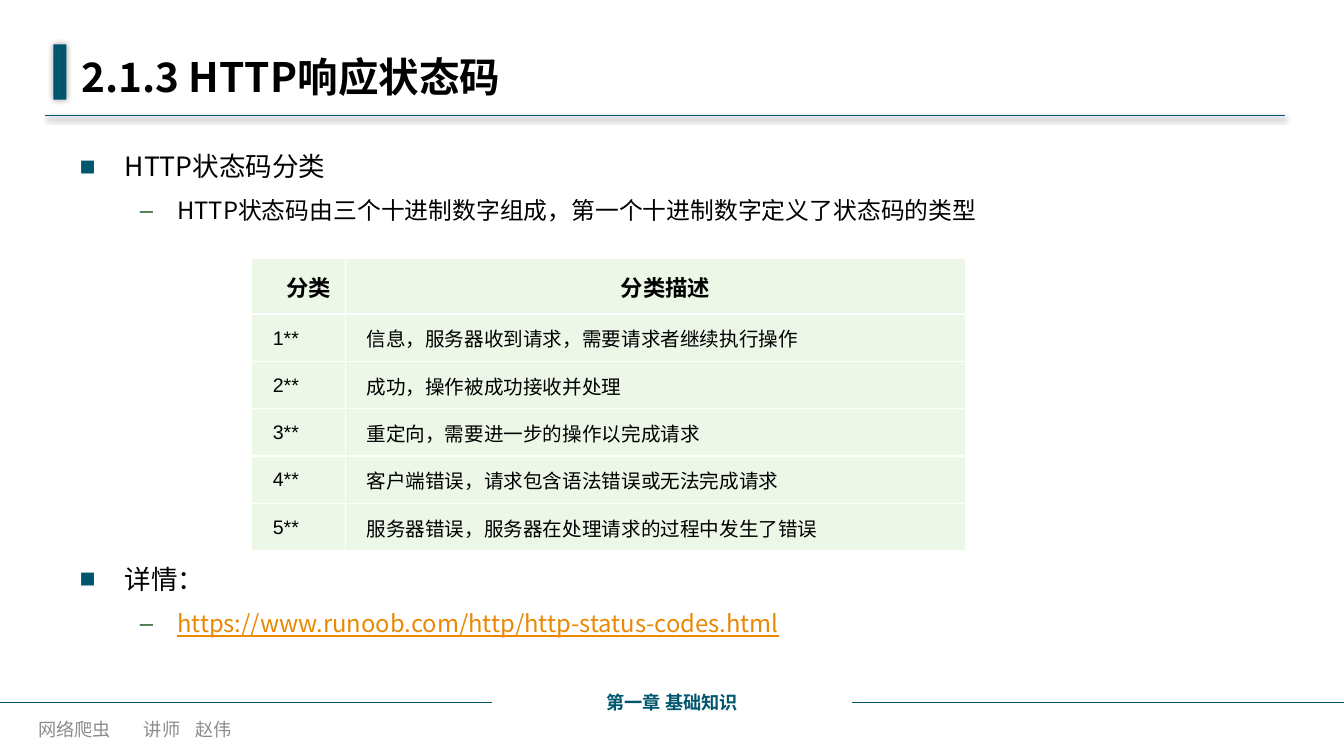
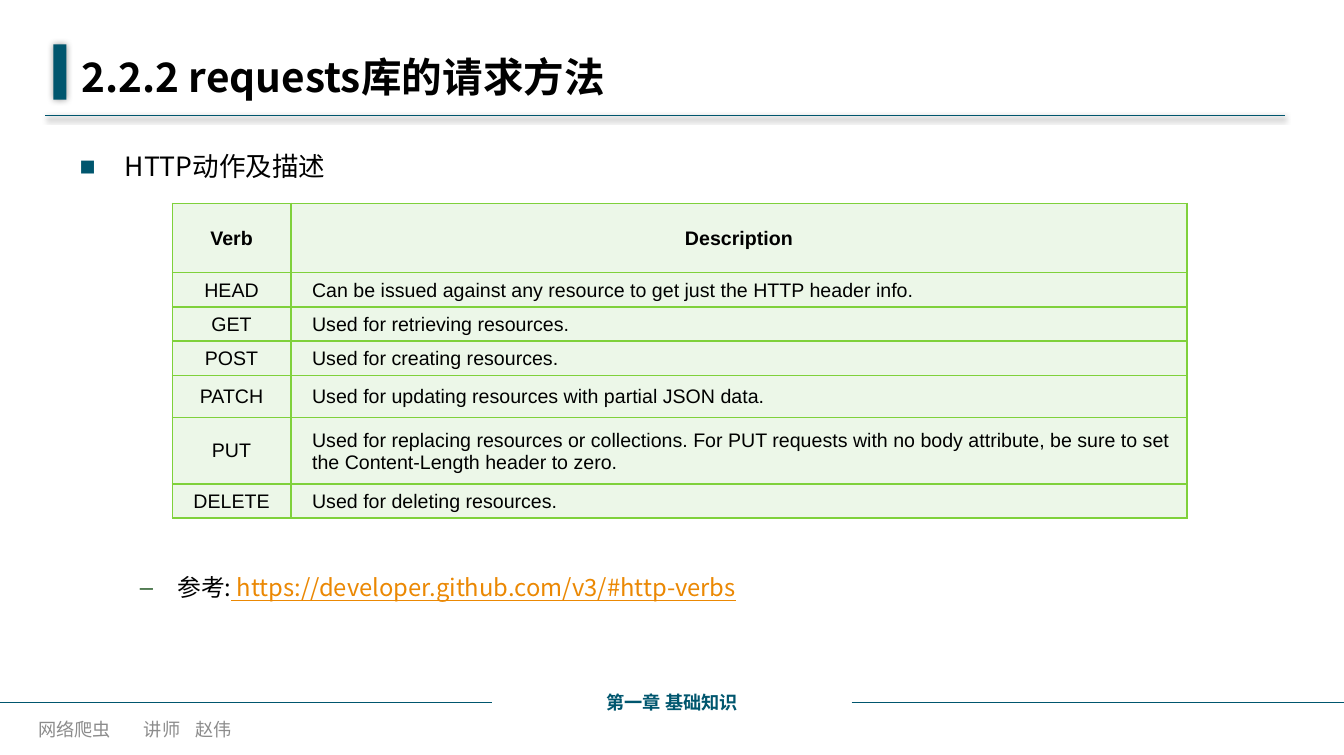
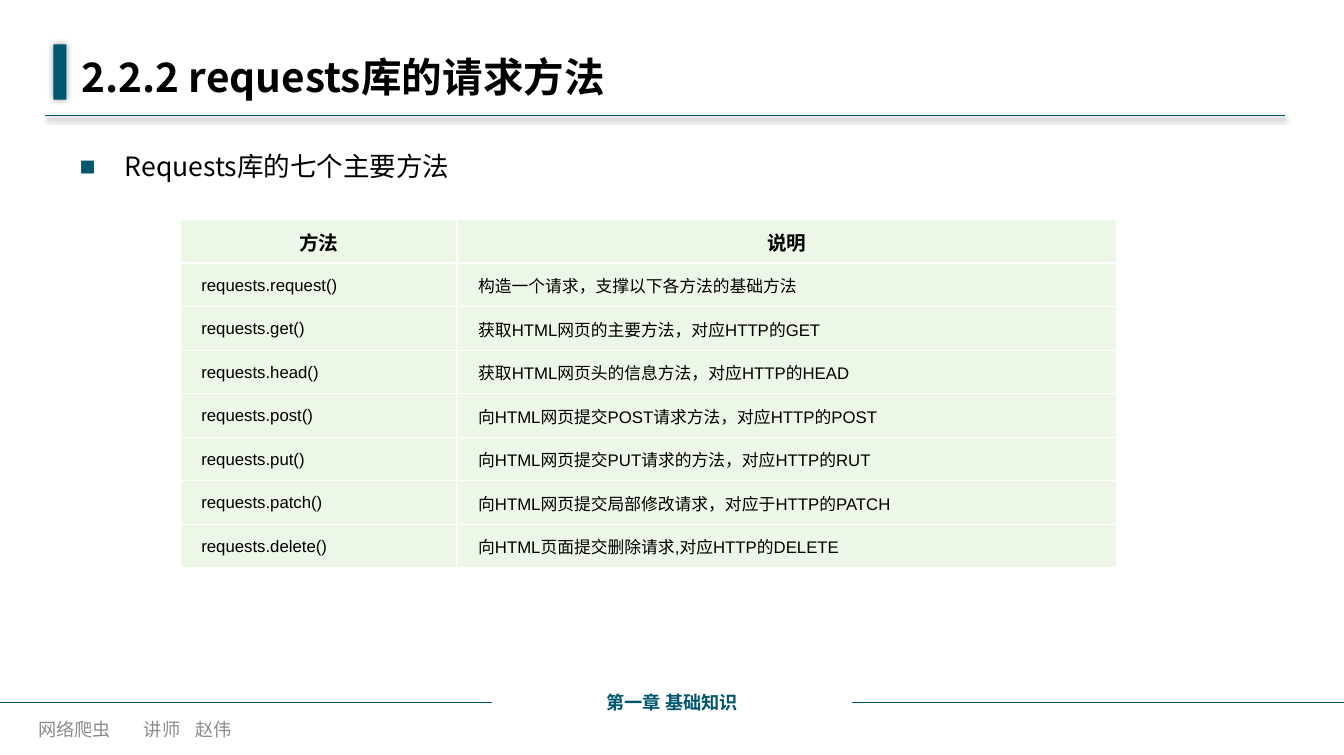
"""Builds three lecture slides on HTTP status codes and request methods."""
from dataclasses import dataclass
from typing import Any

import lxml.etree
import pptx
import pptx.dml.color
import pptx.enum.shapes
import pptx.enum.text
import pptx.oxml.ns
import pptx.util

PP_ALIGN = pptx.enum.text.PP_ALIGN
MIDDLE = pptx.enum.text.MSO_ANCHOR.MIDDLE


@dataclass(frozen=True)
class Theme:
    """Colours, fonts, type sizes and slide size."""
    width: float = 13.35
    height: float = 7.5
    teal: str = "00566E"
    green: str = "2F6231"
    lime: str = "7FD13B"
    pale: str = "ECF7E8"
    orange: str = "EB8803"
    grey: str = "8C8C8C"
    black: str = "000000"
    white: str = "FFFFFF"
    font: str = "Noto Sans CJK SC"
    table_font: str = "Arial"
    mono: str = "DejaVu Sans Mono"
    title: int = 29
    footer: int = 13


T = Theme()


@dataclass(frozen=True)
class Style:
    """The look of one run."""
    size: int
    color: str = T.black
    bold: bool = False
    font: str = T.font
    underline: bool = False


@dataclass(frozen=True)
class Box:
    """A frame in percent of the slide's width and height."""
    left: float
    top: float
    width: float
    height: float

    def emu(self) -> tuple[int, int, int, int]:
        """Gives the frame in slide units."""
        return across(self.left), down(self.top), across(self.width), down(self.height)


@dataclass(frozen=True)
class Level:
    """Bullet mark, size and indents in inches of an outline level."""
    mark: str
    color: str
    size: int
    margin: float
    hang: float


@dataclass(frozen=True)
class Bullet:
    """A bulleted line with an optional web address."""
    level: int
    text: str
    url: str = ""


@dataclass(frozen=True)
class Outline:
    """Bulleted lines that start at a given height."""
    top: float
    bullets: tuple[Bullet, ...]


@dataclass(frozen=True)
class Grid:
    """A two-column table, measured in percent of the slide."""
    left: float
    top: float
    cols: tuple[float, float]
    heights: tuple[float, ...]
    rows: tuple[tuple[str, str], ...]
    head_size: int
    body_size: int
    border: str = T.white
    center_key: bool = False
    indent_head: bool = False


@dataclass(frozen=True)
class Page:
    """The content of one slide."""
    title: str
    outlines: tuple[Outline, ...]
    grid: Grid


LEVELS = (Level("■", T.teal, 19, 0.45, 0.45), Level("–", T.green, 17, 0.97, 0.37))
LINE_HEIGHT = 6.67
TITLE_RULE = 15.33
FOOTER_RULE = 93.07
CHAPTER_WIDTH = 26.74
CHAPTER_LEFT = (100 - CHAPTER_WIDTH) / 2

PAGES = (
    Page(
        "2.1.3 HTTP响应状态码",
        (
            Outline(19.07, (
                Bullet(0, "HTTP状态码分类"),
                Bullet(1, "HTTP状态码由三个十进制数字组成，第一个十进制数字定义了状态码的类型"),
            )),
            Outline(73.73, (
                Bullet(0, "详情："),
                Bullet(1, "", "https://www.runoob.com/http/http-status-codes.html"),
            )),
        ),
        Grid(18.73, 34.27, (6.97, 46.14), (7.33,) + (6.27,) * 5, (
            ("分类", "分类描述"),
            ("1**", "信息，服务器收到请求，需要请求者继续执行操作"),
            ("2**", "成功，操作被成功接收并处理"),
            ("3**", "重定向，需要进一步的操作以完成请求"),
            ("4**", "客户端错误，请求包含语法错误或无法完成请求"),
            ("5**", "服务器错误，服务器在处理请求的过程中发生了错误"),
        ), 16, 14, indent_head=True),
    ),
    Page(
        "2.2.2 requests库的请求方法",
        (
            Outline(19.07, (Bullet(0, "HTTP动作及描述"),)),
            Outline(75.07, (Bullet(1, "参考:", " https://developer.github.com/v3/#http-verbs"),)),
        ),
        Grid(12.81, 26.93, (8.84, 66.67), (9.2, 4.53, 4.53, 4.53, 5.6, 8.8, 4.53), (
            ("Verb", "Description"),
            ("HEAD", "Can be issued against any resource to get just the HTTP header info."),
            ("GET", "Used for retrieving resources."),
            ("POST", "Used for creating resources."),
            ("PATCH", "Used for updating resources with partial JSON data."),
            ("PUT", "Used for replacing resources or collections. For PUT requests with no body "
                    "attribute, be sure to set the Content-Length header to zero."),
            ("DELETE", "Used for deleting resources."),
        ), 14, 14, border=T.lime, center_key=True),
    ),
    Page(
        "2.2.2 requests库的请求方法",
        (Outline(19.07, (Bullet(0, "Requests库的七个主要方法"),)),),
        Grid(13.41, 29.07, (20.6, 49.06), (5.77,) * 8, (
            ("方法", "说明"),
            ("requests.request()", "构造一个请求，支撑以下各方法的基础方法"),
            ("requests.get()", "获取HTML网页的主要方法，对应HTTP的GET"),
            ("requests.head()", "获取HTML网页头的信息方法，对应HTTP的HEAD"),
            ("requests.post()", "向HTML网页提交POST请求方法，对应HTTP的POST"),
            ("requests.put()", "向HTML网页提交PUT请求的方法，对应HTTP的RUT"),
            ("requests.patch()", "向HTML网页提交局部修改请求，对应于HTTP的PATCH"),
            ("requests.delete()", "向HTML页面提交删除请求,对应HTTP的DELETE"),
        ), 14, 12),
    ),
)


def across(share: float) -> int:
    """Turns a percentage of the slide's width into slide units."""
    return pptx.util.Inches(T.width * share / 100)


def down(share: float) -> int:
    """Turns a percentage of the slide's height into slide units."""
    return pptx.util.Inches(T.height * share / 100)


def rgb(color: str) -> pptx.dml.color.RGBColor:
    """Reads a hexadecimal colour."""
    return pptx.dml.color.RGBColor.from_string(color)


def child(parent: Any, tag: str, **attrs: Any) -> Any:
    """Appends a drawing element with the given attributes."""
    el = lxml.etree.SubElement(parent, pptx.oxml.ns.qn(f"a:{tag}"))
    for name, value in attrs.items():
        el.set(name, str(value))
    return el


def add_run(p: Any, text: str, style: Style) -> None:
    """Adds a styled run to a paragraph."""
    r = p.add_run()
    r.text = text
    r.font.name = style.font
    r.font.size = pptx.util.Pt(style.size)
    r.font.bold = style.bold
    r.font.underline = style.underline
    r.font.color.rgb = rgb(style.color)
    child(r.font._element, "ea", typeface=T.font)


def add_text(s: Any, box: Box, anchor: Any = MIDDLE) -> Any:
    """Adds a wrapping text box and returns its text frame."""
    tf = s.shapes.add_textbox(*box.emu()).text_frame
    tf.word_wrap = True
    tf.vertical_anchor = anchor
    tf.margin_left = tf.margin_right = pptx.util.Inches(0.12)
    tf.margin_top = tf.margin_bottom = pptx.util.Inches(0.06)
    return tf


def set_shadow(sp: Any, alpha: int = 0, blur: float = 0, dist: float = 0) -> None:
    """Replaces the theme shadow by a downward one, or by none."""
    effects = child(sp._element.spPr, "effectLst")
    if alpha:
        shadow = child(effects, "outerShdw", blurRad=pptx.util.Pt(blur),
                       dist=pptx.util.Pt(dist), dir=90 * 60000, rotWithShape=0)
        child(child(shadow, "srgbClr", val=T.black), "alpha", val=alpha * 1000)


def add_rule(s: Any, start: float, end: float, y: float) -> Any:
    """Adds a horizontal teal line."""
    sp = s.shapes.add_connector(pptx.enum.shapes.MSO_CONNECTOR.STRAIGHT,
                                across(start), down(y), across(end), down(y))
    sp.line.color.rgb = rgb(T.teal)
    sp.line.width = pptx.util.Pt(1)
    return sp


def add_frame(s: Any, title: str) -> None:
    """Adds the title band and the footer."""
    set_shadow(add_rule(s, 3.37, 95.58, TITLE_RULE), 42, 4, 1.6)
    bar = s.shapes.add_shape(pptx.enum.shapes.MSO_SHAPE.RECTANGLE,
                             *Box(3.97, 5.87, 0.97, 7.33).emu())
    bar.fill.solid()
    bar.fill.fore_color.rgb = rgb(T.teal)
    bar.line.fill.background()
    set_shadow(bar, 40, 5)
    p = add_text(s, Box(5.17, 5.87, 67.79, 8.4)).paragraphs[0]
    add_run(p, title, Style(T.title, bold=True))

    p = add_text(s, Box(1.95, 93.87, 35.43, 5.33)).paragraphs[0]
    tabs = child(p._p.get_or_add_pPr(), "tabLst")
    for stop in (1.05, 1.56):
        child(tabs, "tab", pos=pptx.util.Inches(stop), algn="l")
    add_run(p, "网络爬虫\t讲师\t赵伟", Style(T.footer, T.grey, font=T.mono))
    for start in (0, 100 - CHAPTER_LEFT):
        set_shadow(add_rule(s, start, start + CHAPTER_LEFT, FOOTER_RULE))
    p = add_text(s, Box(CHAPTER_LEFT, FOOTER_RULE - 2.13, CHAPTER_WIDTH, 4.27)).paragraphs[0]
    p.alignment = PP_ALIGN.CENTER
    add_run(p, "第一章 基础知识", Style(T.footer, T.teal, bold=True))


def add_outline(s: Any, outline: Outline) -> None:
    """Adds a box of bulleted lines."""
    tf = add_text(s, Box(5.02, outline.top, 89.96, LINE_HEIGHT * len(outline.bullets)),
                  pptx.enum.text.MSO_ANCHOR.TOP)
    for i, bullet in enumerate(outline.bullets):
        p = tf.add_paragraph() if i else tf.paragraphs[0]
        level = LEVELS[bullet.level]
        pPr = p._p.get_or_add_pPr()
        pPr.set("marL", str(pptx.util.Inches(level.margin)))
        pPr.set("indent", str(-pptx.util.Inches(level.hang)))
        child(child(pPr, "buClr"), "srgbClr", val=level.color)
        child(pPr, "buFont", typeface=T.table_font)
        child(pPr, "buChar", char=level.mark)
        if i:
            p.space_before = pptx.util.Pt(10)
        if bullet.text:
            add_run(p, bullet.text, Style(level.size))
        if bullet.url:
            add_run(p, bullet.url, Style(level.size, T.orange, underline=True))


def fill_cell(cell: Any, text: str, style: Style, border: str, center: bool, indent: bool) -> None:
    """Sets the borders, fill and text of a cell."""
    tcPr = cell._tc.get_or_add_tcPr()
    for side in "LRTB":
        ln = child(tcPr, f"ln{side}", w=pptx.util.Pt(1))
        child(child(ln, "solidFill"), "srgbClr", val=border)
    cell.fill.solid()
    cell.fill.fore_color.rgb = rgb(T.pale)
    cell.vertical_anchor = MIDDLE
    cell.margin_left = cell.margin_right = cell.margin_top = pptx.util.Inches(0.01)
    cell.margin_bottom = 0
    p = cell.text_frame.paragraphs[0]
    p.alignment = PP_ALIGN.CENTER if center else PP_ALIGN.LEFT
    if indent:
        p._p.get_or_add_pPr().set("marL", str(pptx.util.Inches(0.2)))
    add_run(p, text, style)


def add_grid(s: Any, grid: Grid) -> None:
    """Adds a two-column table with a bold header row."""
    box = Box(grid.left, grid.top, sum(grid.cols), sum(grid.heights))
    table = s.shapes.add_table(len(grid.rows), len(grid.cols), *box.emu()).table
    table.first_row = table.horz_banding = False
    for col, width in zip(table.columns, grid.cols):
        col.width = across(width)
    for i, (row, height) in enumerate(zip(table.rows, grid.heights)):
        row.height = down(height)
        head = i == 0
        style = Style(grid.head_size if head else grid.body_size, bold=head, font=T.table_font)
        for j, text in enumerate(grid.rows[i]):
            center = head or (grid.center_key and j == 0)
            indent = grid.indent_head if head else not center
            fill_cell(table.cell(i, j), text, style, grid.border, center, indent)


def main() -> None:
    """Builds and saves the presentation."""
    prs = pptx.Presentation()
    prs.slide_width, prs.slide_height = across(100), down(100)
    for page in PAGES:
        s = prs.slides.add_slide(prs.slide_layouts[6])
        add_frame(s, page.title)
        for outline in page.outlines:
            add_outline(s, outline)
        add_grid(s, page.grid)
    prs.save("out.pptx")


if __name__ == "__main__":
    main()
